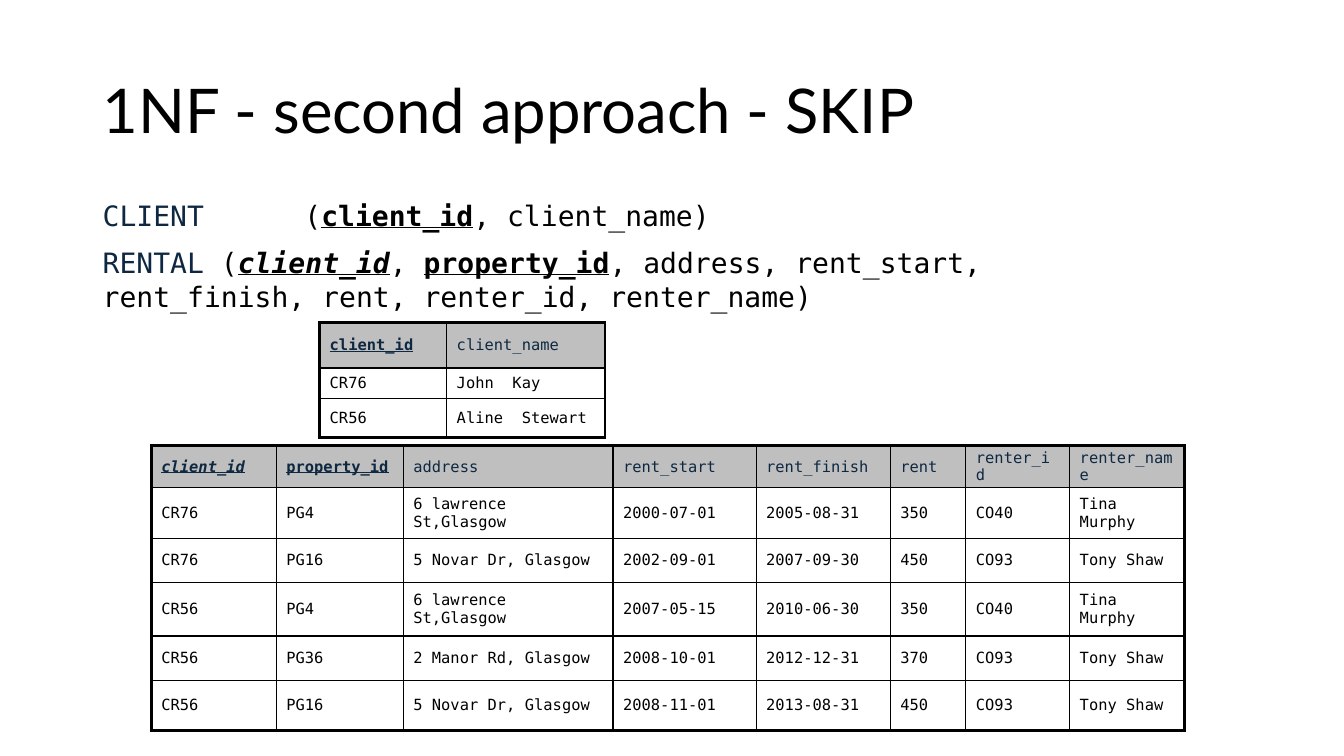
from lxml import etree
from pptx import Presentation
from pptx.dml.color import RGBColor
from pptx.enum import text
from pptx.oxml import ns
from pptx.util import Inches, Pt

COLORS = {"ink": "000000", "navy": "0E2841", "header": "BFBFBF"}
MONO = "DejaVu Sans Mono"


def add_span(para, words, size, color="ink", style="", font=MONO):
    span = para.add_run()
    span.text = words
    span.font.name = font
    span.font.size = Pt(size)
    span.font.color.rgb = RGBColor.from_string(COLORS[color])
    span.font.bold = "b" in style
    span.font.italic = "i" in style
    span.font.underline = "u" in style


def add_border(cell, side, width):
    line = etree.SubElement(cell._tc.get_or_add_tcPr(), ns.qn(f"a:ln{side}"), w=str(Pt(width)))
    fill = etree.SubElement(line, ns.qn("a:solidFill"))
    etree.SubElement(fill, ns.qn("a:srgbClr"), val=COLORS["ink"])


deck = Presentation()
deck.slide_width = Inches(13.33)
deck.slide_height = Inches(7.5)
page = deck.slides.add_slide(deck.slide_layouts[5])

title = page.shapes.title
title.left, title.top, title.width, title.height = map(Inches, (0.92, 0.4, 11.5, 1.45))
title.text_frame.word_wrap = True
title.text_frame.vertical_anchor = text.MSO_ANCHOR.MIDDLE
title_para = title.text_frame.paragraphs[0]
title_para.alignment = text.PP_ALIGN.LEFT
title_para.line_spacing = 0.9
add_span(title_para, "1NF - second approach - SKIP", 44, font="Lato")

relations = [
    [("CLIENT\t", "navy", ""), ("(", "ink", ""), ("client_id", "ink", "bu"),
     (", client_name)", "ink", "")],
    [("RENTAL ", "navy", ""), ("(", "ink", ""), ("client_id", "ink", "biu"),
     (", ", "ink", ""), ("property_id", "ink", "bu"),
     (", address, rent_start, rent_finish, rent, renter_id, renter_name)", "ink", "")],
]
box = page.shapes.add_textbox(Inches(0.92), Inches(1.92), Inches(10.48), Inches(1.28))
frame = box.text_frame
frame.word_wrap = True
for index, spans in enumerate(relations):
    para = frame.add_paragraph() if index else frame.paragraphs[0]
    if index:
        para.space_before = Pt(9.5)
    else:
        tabs = etree.SubElement(para._p.get_or_add_pPr(), ns.qn("a:tabLst"))
        etree.SubElement(tabs, ns.qn("a:tab"), pos=str(Inches(2)), algn="l")
    for words, color, style in spans:
        add_span(para, words, 20, color, style)

tables = [
    {
        "at": (3.17, 3.2),
        "columns": [1.26, 1.57],
        "heights": [0.45, 0.3, 0.39],
        "keys": {"client_id": "bu"},
        "rows": [
            ["client_id", "client_name"],
            ["CR76", "John  Kay"],
            ["CR56", "Aline  Stewart"],
        ],
    },
    {
        "at": (1.5, 4.42),
        "columns": [1.24, 1.26, 2.08, 1.42, 1.33, 0.75, 1.03, 1.14],
        "heights": [0.42, 0.5, 0.44, 0.53, 0.44, 0.5],
        "keys": {"client_id": "biu", "property_id": "bu"},
        "rows": [
            ["client_id", "property_id", "address", "rent_start", "rent_finish", "rent",
             "renter_id", "renter_name"],
            ["CR76", "PG4", "6 lawrence St,Glasgow", "2000-07-01", "2005-08-31", "350",
             "CO40", "Tina Murphy"],
            ["CR76", "PG16", "5 Novar Dr, Glasgow", "2002-09-01", "2007-09-30", "450",
             "CO93", "Tony Shaw"],
            ["CR56", "PG4", "6 lawrence St,Glasgow", "2007-05-15", "2010-06-30", "350",
             "CO40", "Tina Murphy"],
            ["CR56", "PG36", "2 Manor Rd, Glasgow", "2008-10-01", "2012-12-31", "370",
             "CO93", "Tony Shaw"],
            ["CR56", "PG16", "5 Novar Dr, Glasgow", "2008-11-01", "2013-08-31", "450",
             "CO93", "Tony Shaw"],
        ],
    },
]
for data in tables:
    columns, heights = data["columns"], data["heights"]
    left, top = data["at"]
    table = page.shapes.add_table(
        len(heights), len(columns), Inches(left), Inches(top),
        Inches(sum(columns)), Inches(sum(heights))).table
    table.horz_banding = False
    for column, width in zip(table.columns, columns):
        column.width = Inches(width)
    for row, height in zip(table.rows, heights):
        row.height = Inches(height)
    for r, values in enumerate(data["rows"]):
        for c, value in enumerate(values):
            cell = table.cell(r, c)
            cell.vertical_anchor = text.MSO_ANCHOR.MIDDLE
            cell.margin_left = cell.margin_right = Inches(0.1)
            cell.margin_top = cell.margin_bottom = 0
            outer_sides = {"L": c == 0, "R": c == len(columns) - 1,
                           "T": r == 0, "B": r == len(heights) - 1}
            for side, outer in outer_sides.items():
                add_border(cell, side, 2.25 if outer else 1)
            if r == 0:
                cell.fill.solid()
                cell.fill.fore_color.rgb = RGBColor.from_string(COLORS["header"])
            else:
                cell.fill.background()
            add_span(cell.text_frame.paragraphs[0], value, 11,
                     "ink" if r else "navy", data["keys"].get(value, ""))

deck.save("out.pptx")
